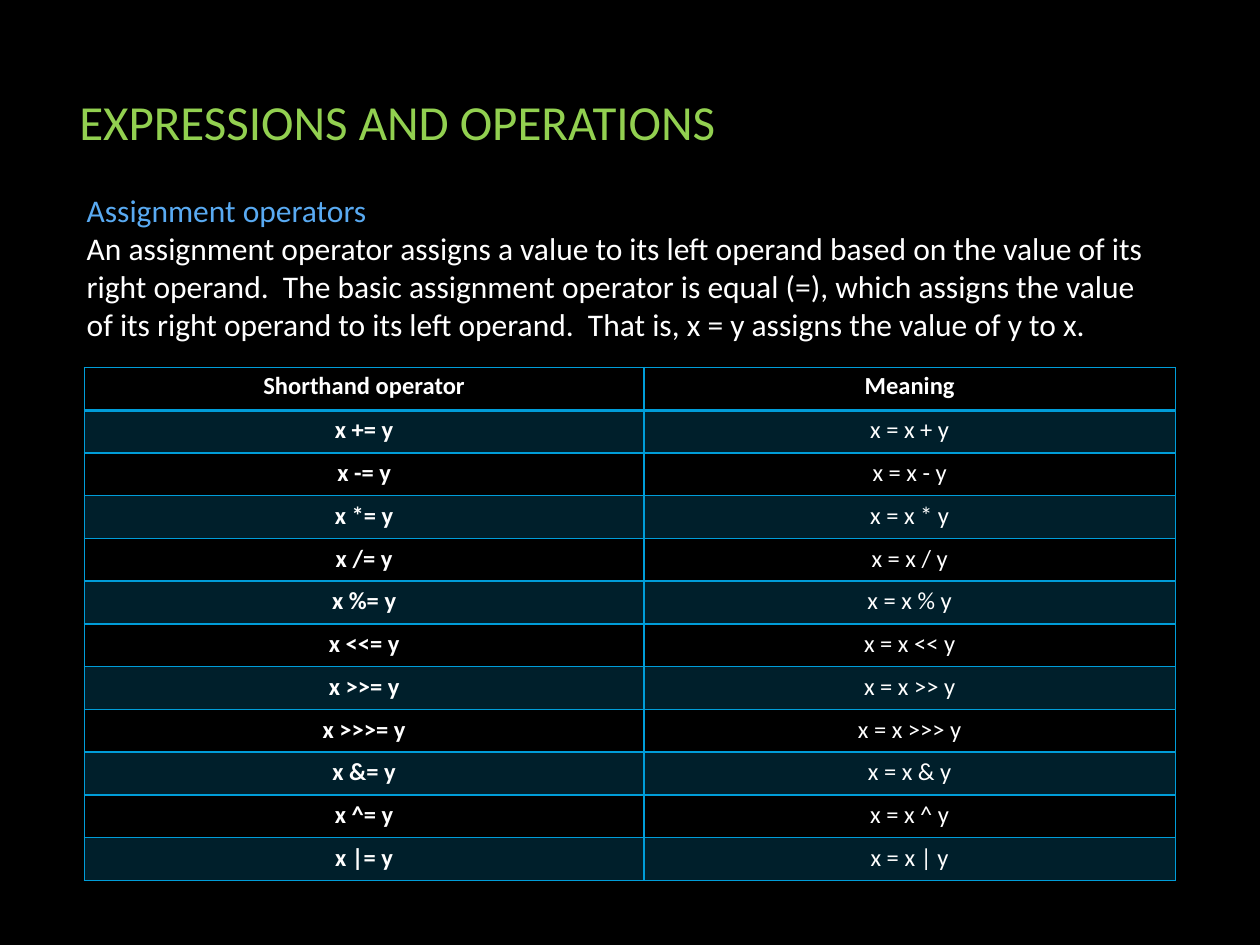
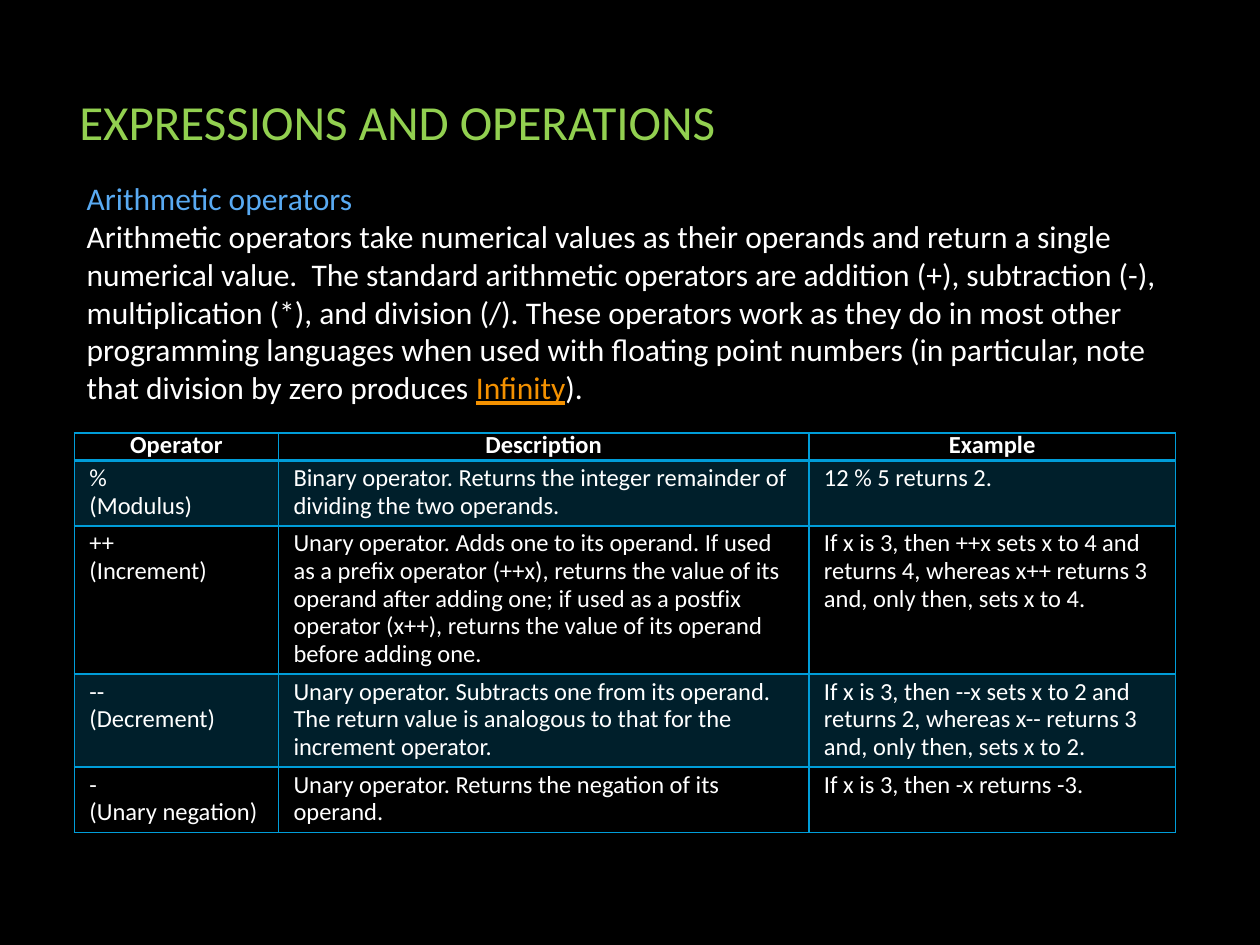
from lxml import etree
from pptx import Presentation
from pptx.dml.color import RGBColor
from pptx.enum.text import MSO_ANCHOR, MSO_AUTO_SIZE, PP_ALIGN
from pptx.oxml.ns import qn
from pptx.util import Inches, Pt

MID, TOP = MSO_ANCHOR.MIDDLE, MSO_ANCHOR.TOP
LEFT, CENTER = PP_ALIGN.LEFT, PP_ALIGN.CENTER
FIXED, GROW = MSO_AUTO_SIZE.NONE, MSO_AUTO_SIZE.SHAPE_TO_FIT_TEXT

BLACK = RGBColor(0x00, 0x00, 0x00)
WHITE = RGBColor(0xFF, 0xFF, 0xFF)
GREEN = RGBColor(0x92, 0xD0, 0x50)
BLUE = RGBColor(0x59, 0xAA, 0xF2)
CYAN = RGBColor(0x00, 0x9D, 0xD9)
ORANGE = RGBColor(0xF4, 0x91, 0x00)
FONT = "Calibri"
PLAIN = "{2D5ABB26-0587-4C30-8999-92F81FD0307C}"  # table style without a grid

deck = Presentation()
deck.slide_width, deck.slide_height = Inches(10), Inches(7.5)
# The slide is a grid of 100 columns by 100 rows
COL, ROW = deck.slide_width / 100, deck.slide_height / 100


def style(para, size, color, bold=False, align=LEFT):
    para.alignment = align
    font = para.font
    font.name, font.size, font.bold = FONT, Pt(size), bold
    font.color.rgb = color


def edge(cell, side, width):
    line = etree.SubElement(cell._tc.get_or_add_tcPr(), qn("a:ln" + side), w=str(Pt(width)))
    fill = etree.SubElement(line, qn("a:solidFill"))
    etree.SubElement(fill, qn("a:srgbClr"), val=str(CYAN))


# Dark theme shared by all slides
master = deck.slide_master
colors = master._element.find(qn("p:clrMap"))
for key, val in {"bg1": "dk1", "tx1": "lt1"}.items():
    colors.set(key, val)
master.background.fill.solid()
master.background.fill.fore_color.rgb = BLACK

# Shorthand operators and their meaning
signs = ["+", "-", "*", "/", "%", "<<", ">>", ">>>", "&", "^", "|"]
short = [["Shorthand operator", "Meaning"]]
short += [[f"x {sign}= y", f"x = x {sign} y"] for sign in signs]

# Arithmetic operators
math_ops = [
    ["Operator", "Description", "Example"],
    ["%\n(Modulus)",
     "Binary operator. Returns the integer remainder of dividing the two operands.",
     "12 % 5 returns 2."],
    ["++\v(Increment)",
     "Unary operator. Adds one to its operand. If used as a prefix operator (++x), "
     "returns the value of its operand after adding one; if used as a postfix operator "
     "(x++), returns the value of its operand before adding one.",
     "If x is 3, then ++x sets x to 4 and returns 4, whereas x++ returns 3 and, "
     "only then, sets x to 4."],
    ["--\v(Decrement)",
     "Unary operator. Subtracts one from its operand. The return value is analogous to "
     "that for the increment operator.",
     "If x is 3, then --x sets x to 2 and returns 2, whereas x-- returns 3 and, "
     "only then, sets x to 2."],
    ["-\v(Unary negation)",
     "Unary operator. Returns the negation of its operand.",
     "If x is 3, then -x returns -3."],
]

# Boxes are left, top, width, height; margins are left/right, top, bottom in inches
pages = [
    dict(head="Assignment operators",
         text=["An assignment operator assigns a value to its left operand based on the "
               "value of its right operand.  The basic assignment operator is equal (=), "
               "which assigns the value of its right operand to its left operand.  That "
               "is, x = y assigns the value of y to x."],
         box=(5.9, 19.6, 87.4, 17.5), rows=short, spot=(6.7, 38.9),
         wide=[44.4, 42.2], high=[4.5] + [4.45] * len(signs),
         top_pad=(0.08, 0.02, 0.04), pad=(0.06, 0.06, 0.06),
         align=CENTER, anchor=MID, bold=True),
    dict(head="Arithmetic operators",
         text=["Arithmetic operators take numerical values as their operands and return a "
               "single numerical value.  The standard arithmetic operators are addition "
               "(+), subtraction (-), multiplication (*), and division (/). These "
               "operators work as they do in most other programming languages when used "
               "with floating point numbers (in particular, note that division by zero "
               "produces ", "Infinity", ")."],
         box=(5.9, 18.3, 89, 25.6), rows=math_ops, spot=(5.9, 45.8),
         wide=[16.2, 42.1, 29.1], high=[2.3, 5.7, 12.8, 8.1, 5.7],
         top_pad=(0.04, 0, 0), pad=(0.12, 0.04, 0.04),
         align=LEFT, anchor=TOP, bold=False),
]

for page in pages:
    slide = deck.slides.add_slide(deck.slide_layouts[5])

    # Title
    title = slide.shapes.title
    title.left, title.top = int(5.3 * COL), int(8 * ROW)
    title.width, title.height = int(89.5 * COL), int(9.5 * ROW)
    frame = title.text_frame
    frame.text = "EXPRESSIONS AND OPERATIONS"
    frame.vertical_anchor, frame.auto_size = MID, FIXED
    style(frame.paragraphs[0], 28, GREEN)

    # Intro text
    left, top, width, height = page["box"]
    intro = slide.shapes.add_textbox(int(left * COL), int(top * ROW),
                                     int(width * COL), int(height * ROW))
    frame = intro.text_frame
    frame.word_wrap, frame.auto_size = True, GROW
    frame.text = page["head"]
    style(frame.paragraphs[0], 18, BLUE)
    para = frame.add_paragraph()
    style(para, 18, WHITE)
    for part in page["text"]:
        run = para.add_run()
        run.text = part
        if part == "Infinity":
            run.font.underline = True
            run.font.color.rgb = ORANGE

    # Table
    rows, wide, high = page["rows"], page["wide"], page["high"]
    left, top = page["spot"]
    table = slide.shapes.add_table(len(rows), len(wide), int(left * COL), int(top * ROW),
                                   int(sum(wide) * COL), int(sum(high) * ROW)).table
    table._tbl.tblPr.find(qn("a:tableStyleId")).text = PLAIN
    table.horz_banding = False
    for col, share in zip(table.columns, wide):
        col.width = int(share * COL)
    for row, share in zip(table.rows, high):
        row.height = int(share * ROW)

    for r, row in enumerate(rows):
        for c, text in enumerate(row):
            cell = table.cell(r, c)
            cell.text = text
            side, above, below = page["pad"] if r else page["top_pad"]
            cell.margin_left = cell.margin_right = Inches(side)
            cell.margin_top, cell.margin_bottom = Inches(above), Inches(below)
            cell.vertical_anchor = page["anchor"] if r else MID
            for para in cell.text_frame.paragraphs:
                style(para, 14, WHITE, r == 0 or (page["bold"] and c == 0),
                      page["align"] if r else CENTER)
                para.line_spacing = Pt(15.8)

            # Borders, heavier under the header
            for name in "LRTB":
                heavy = (r, name) in [(0, "B"), (1, "T")]
                edge(cell, name, 2 if heavy else 1)

            # Tint on odd rows
            if r % 2:
                cell.fill.solid()
                cell.fill.fore_color.rgb = CYAN
                tint = cell._tc.tcPr.find(qn("a:solidFill"))[0]
                etree.SubElement(tint, qn("a:alpha"), val="20000")
            else:
                cell.fill.background()

deck.save("out.pptx")
